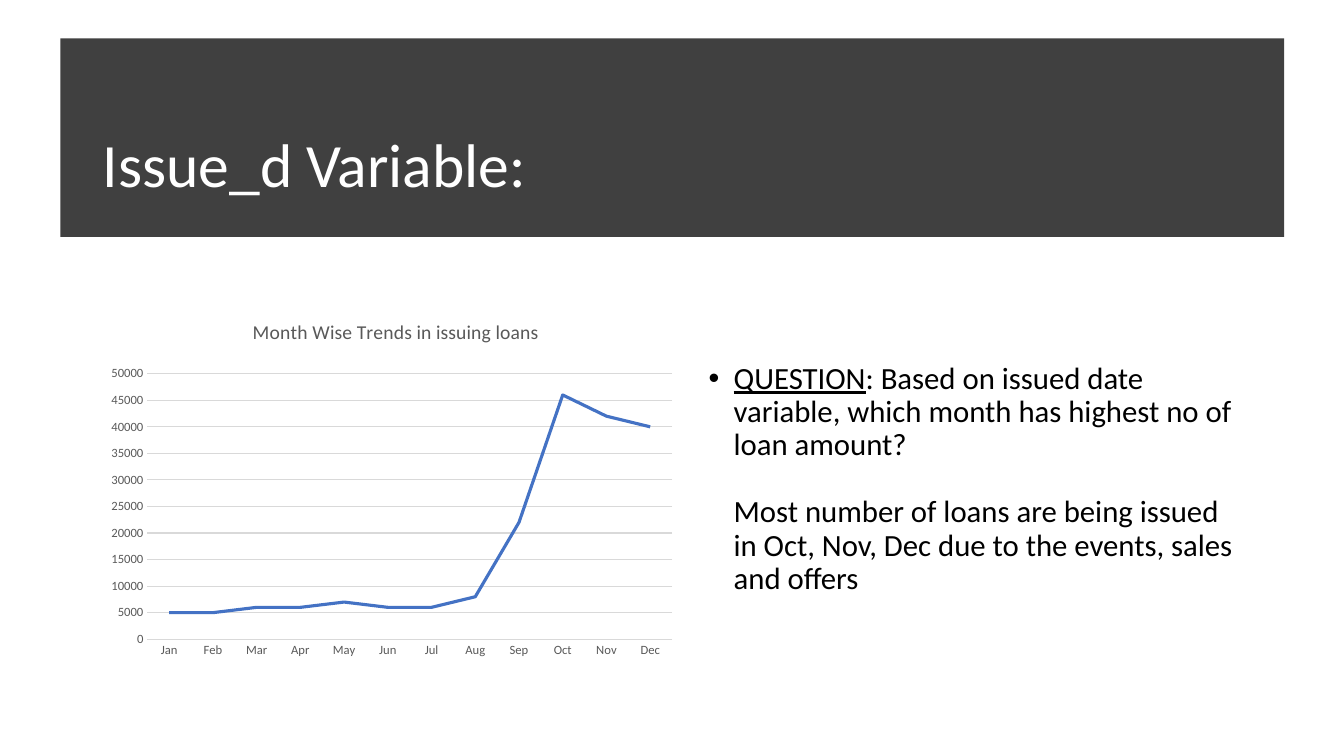
from lxml.etree import SubElement
from pptx import Presentation
from pptx.chart.data import CategoryChartData
from pptx.dml.color import RGBColor
from pptx.enum.chart import XL_CHART_TYPE, XL_TICK_MARK
from pptx.enum.shapes import MSO_SHAPE
from pptx.enum.text import MSO_ANCHOR, MSO_AUTO_SIZE, PP_ALIGN
from pptx.oxml import parse_xml
from pptx.oxml.ns import nsdecls, qn
from pptx.util import Cm, Pt

FONT = "Calibri"
TITLE = "Issue_d Variable:"
QUESTION = ("QUESTION", ": Based on issued date variable, which month has highest no of loan amount?")
ANSWER = "Most number of loans are being issued in Oct, Nov, Dec due to the events, sales and offers"
CHART_TITLE = "Month Wise Trends in issuing loans"
LOANS = {
    "Jan": 5000, "Feb": 5000, "Mar": 6000, "Apr": 6000, "May": 7000, "Jun": 6000,
    "Jul": 6000, "Aug": 8000, "Sep": 22000, "Oct": 46000, "Nov": 42000, "Dec": 40000,
}

# left, top, width, height in centimetres
BANNER = (1.52, 0.97, 30.84, 5)
TITLE_BOX = (2.34, 1.63, 29.21, 3.68)
CHART_BOX = (2.34, 7.62, 15.27, 9.27)
BODY_BOX = (17.61, 7, 13.94, 10.16)


def color(hex_string):
    return RGBColor.from_string(hex_string)


def lengths(box):
    return [Cm(value) for value in box]


def style_font(font, size, hex_string):
    font.name, font.size, font.bold = FONT, Pt(size), False
    font.color.rgb = color(hex_string)


def style_line(line, hex_string, width):
    line.color.rgb = color(hex_string)
    line.width = Pt(width)


def set_layout(parent, index, target=None, **percentages):
    """Place a chart part by percentages of the chart's size."""
    for old in parent.findall(qn("c:layout")):
        parent.remove(old)
    layout = parse_xml(f"<c:layout {nsdecls('c')}><c:manualLayout/></c:layout>")
    manual = layout[0]
    if target:
        SubElement(manual, qn("c:layoutTarget")).set("val", target)
    for name in ("x", "y"):
        SubElement(manual, qn(f"c:{name}Mode")).set("val", "edge")
    for name, value in percentages.items():
        SubElement(manual, qn(f"c:{name}")).set("val", f"{value / 100:.4f}")
    parent.insert(index, layout)


def add_banner(slide):
    banner = slide.shapes.add_shape(MSO_SHAPE.RECTANGLE, *lengths(BANNER))
    banner.shadow.inherit = False
    banner.fill.solid()
    banner.fill.fore_color.rgb = color("404040")
    banner.line.fill.background()
    slide.shapes._spTree.insert(2, banner._element)  # behind the title


def fill_title(title):
    title.left, title.top, title.width, title.height = lengths(TITLE_BOX)
    frame = title.text_frame
    frame.text = TITLE
    frame.auto_size = MSO_AUTO_SIZE.NONE
    frame.vertical_anchor = MSO_ANCHOR.BOTTOM
    frame.margin_bottom = Cm(0.26)
    paragraph = frame.paragraphs[0]
    paragraph.alignment = PP_ALIGN.LEFT
    paragraph.line_spacing = 0.9
    style_font(paragraph.runs[0].font, 44, "FFFFFF")


def add_trend_chart(slide):
    data = CategoryChartData()
    data.categories = list(LOANS)
    data.add_series("Series 1", list(LOANS.values()))
    chart = slide.shapes.add_chart(XL_CHART_TYPE.LINE, *lengths(CHART_BOX), data).chart
    style_font(chart.font, 10, "000000")
    chart.has_legend = False

    chart.has_title = True
    frame = chart.chart_title.text_frame
    frame.text = CHART_TITLE
    style_font(frame.paragraphs[0].runs[0].font, 14, "595959")
    set_layout(chart.chart_title._element, 1, x=25.8, y=3.4)
    plot_area = chart._chartSpace.chart.plotArea
    set_layout(plot_area, 0, "inner", x=9, y=19.4, w=86.6, h=72.2)

    for axis in (chart.category_axis, chart.value_axis):
        axis.major_tick_mark = axis.minor_tick_mark = XL_TICK_MARK.NONE
        style_font(axis.tick_labels.font, 9, "595959")
    style_line(chart.category_axis.format.line, "D9D9D9", 0.75)
    values = chart.value_axis
    values.minimum_scale, values.maximum_scale, values.major_unit = 0, 50000, 5000
    values.format.line.fill.background()
    values.has_major_gridlines = True
    style_line(values.major_gridlines.format.line, "D9D9D9", 0.75)

    plot = chart.plots[0]
    plot.vary_by_categories = False
    series = plot.series[0]
    series.smooth = False
    style_line(series.format.line, "4472C4", 2.25)


def add_body(slide):
    frame = slide.shapes.add_textbox(*lengths(BODY_BOX)).text_frame
    frame.word_wrap = True
    frame.vertical_anchor = MSO_ANCHOR.MIDDLE
    question, answer = frame.paragraphs[0], frame.add_paragraph()
    for text in QUESTION:
        question.add_run().text = text
    answer.text = ANSWER
    answer.space_before = Pt(24)
    for paragraph, indent in ((question, -Cm(0.63)), (answer, 0)):
        paragraph.line_spacing = 0.9
        properties = paragraph._p.get_or_add_pPr()
        properties.set("marL", str(Cm(0.63)))
        properties.set("indent", str(indent))
        for run in paragraph.runs:
            style_font(run.font, 22, "000000")
    question.runs[0].font.underline = True
    bullet = question._p.get_or_add_pPr()
    SubElement(bullet, qn("a:buFont")).set("typeface", "Arial")
    SubElement(bullet, qn("a:buChar")).set("char", "•")


def main():
    presentation = Presentation()
    presentation.slide_width, presentation.slide_height = Cm(33.87), Cm(19.05)
    slide = presentation.slides.add_slide(presentation.slide_layouts[5])
    add_banner(slide)
    fill_title(slide.shapes.title)
    add_body(slide)
    add_trend_chart(slide)
    presentation.save("out.pptx")


if __name__ == "__main__":
    main()
